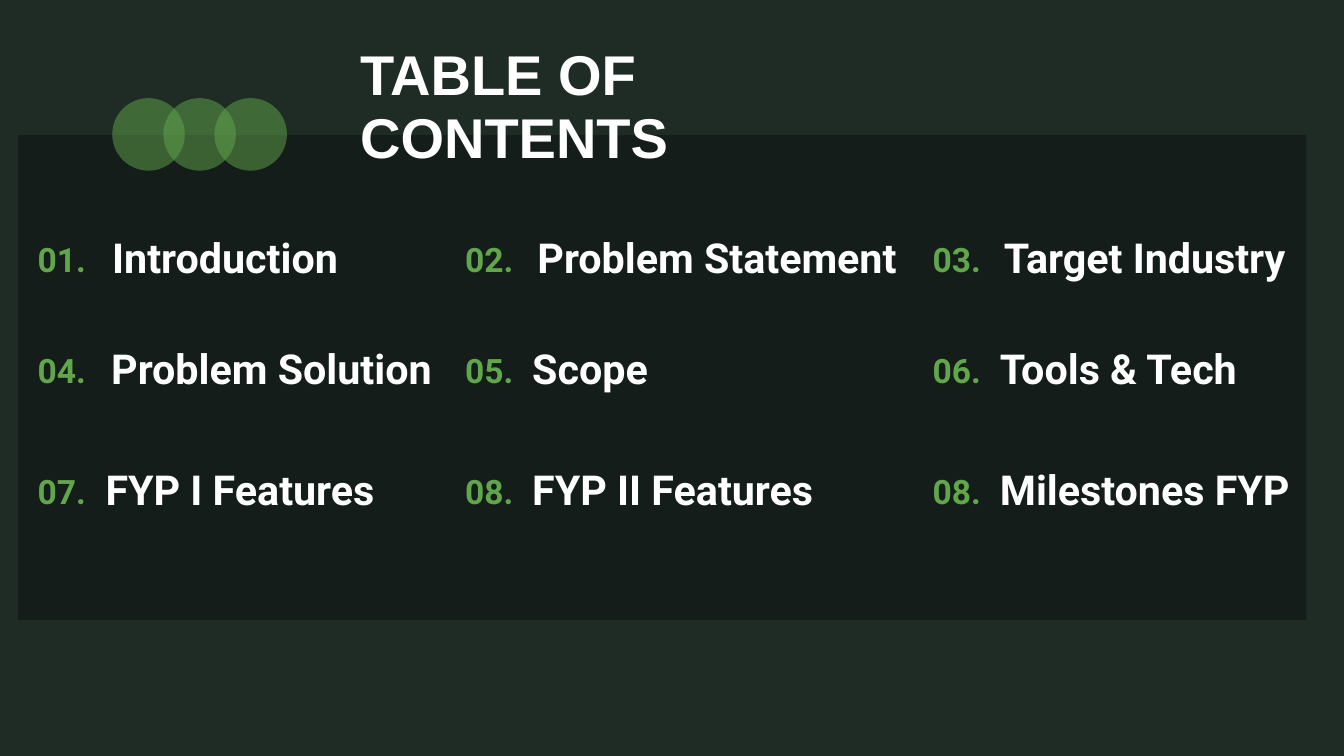
from dataclasses import dataclass

from lxml.etree import SubElement
from pptx import Presentation
from pptx.dml.color import RGBColor
from pptx.enum.shapes import MSO_SHAPE as SHAPE
from pptx.enum.text import MSO_ANCHOR as ANCHOR, MSO_AUTO_SIZE as AUTO, PP_ALIGN as ALIGN
from pptx.oxml.ns import qn
from pptx.util import Inches, Pt

BACKGROUND = RGBColor(0x1E, 0x2C, 0x25)
BLACK = RGBColor(0x00, 0x00, 0x00)
WHITE = RGBColor(0xFF, 0xFF, 0xFF)
GREEN = RGBColor(0x62, 0xA6, 0x4C)

COLUMNS = (0.56, 6.92, 13.88)
ROWS = (3.45, 5.11, 6.91)


@dataclass
class Entry:
    number: str
    label: str
    left: float
    width: float
    align: ALIGN = ALIGN.LEFT


ENTRIES = (
    Entry("01.", "Introduction", 1.57, 3.56, ALIGN.CENTER),
    Entry("02.", "Problem Statement", 7.92, 5.5, ALIGN.CENTER),
    Entry("03.", "Target Industry", 14.78, 4.51, ALIGN.CENTER),
    Entry("04.", "Problem Solution", 1.29, 5.5, ALIGN.CENTER),
    Entry("05.", "Scope", 7.92, 3.56),
    Entry("06.", "Tools & Tech", 14.88, 4.55),
    Entry("07.", "FYP I Features", 1.57, 4.55),
    Entry("08.", "FYP II Features", 7.92, 4.55),
    Entry("08.", "Milestones FYP", 14.88, 4.55),
)


def place(sp, left: float, top: float, width: float, height: float) -> None:
    sp.left, sp.top = Inches(left), Inches(top)
    sp.width, sp.height = Inches(width), Inches(height)


def write(sp, text: str, *, size: float, spacing: float, font: str = "Roboto",
          color: RGBColor = WHITE, align: ALIGN = ALIGN.LEFT) -> None:
    """Fill a shape with one bold paragraph, without insets."""
    tf = sp.text_frame
    tf.margin_left = tf.margin_top = tf.margin_right = tf.margin_bottom = 0
    tf.word_wrap = True
    tf.auto_size = AUTO.NONE
    tf.vertical_anchor = ANCHOR.TOP
    p = tf.paragraphs[0]
    p.alignment = align
    p.line_spacing = Pt(spacing)
    r = p.add_run()
    r.text = text
    r.font.name, r.font.size, r.font.bold = font, Pt(size), True
    r.font.color.rgb = color


def add_glass(slide, kind: SHAPE, left: float, top: float, width: float,
              height: float, color: RGBColor, opacity: int):
    """Add a translucent shape without outline; opacity is in percent."""
    sp = slide.shapes.add_shape(kind, Inches(left), Inches(top), Inches(width), Inches(height))
    sp.shadow.inherit = False
    sp.line.fill.background()
    sp.fill.solid()
    sp.fill.fore_color.rgb = color
    clr = sp.fill._xPr.find(f".//{qn('a:srgbClr')}")
    SubElement(clr, qn("a:alpha"), val=str(opacity * 1000))
    return sp


def add_entry(slide, entry: Entry, column: float, row: float) -> None:
    number = slide.shapes.add_textbox(0, 0, 0, 0)
    place(number, column, row, 1, 0.68)
    write(number, entry.number, size=36, spacing=50.4, color=GREEN)
    label = slide.shapes.add_textbox(0, 0, 0, 0)
    place(label, entry.left, row + 0.03, entry.width, 0.72)
    write(label, entry.label, size=44.2, spacing=50.8, align=entry.align)


def main() -> None:
    prs = Presentation()
    prs.slide_width, prs.slide_height = Inches(20), Inches(11.25)
    slide = prs.slides.add_slide(prs.slide_layouts[5])
    slide.background.fill.solid()
    slide.background.fill.fore_color.rgb = BACKGROUND

    # Title
    title = slide.shapes.title
    place(title, 5.36, 0.66, 8.86, 0.96)
    write(title, "TABLE OF CONTENTS", size=60, spacing=67.2, font="Arial")

    # Dark panel, kept behind the title
    panel = add_glass(slide, SHAPE.RECTANGLE, 0.27, 2.01, 19.17, 7.22, BLACK, 32)
    title._element.addprevious(panel._element)

    # Contents, three to a row
    for i, entry in enumerate(ENTRIES):
        row, column = divmod(i, len(COLUMNS))
        add_entry(slide, entry, COLUMNS[column], ROWS[row])

    # Overlapping circles
    for i in range(3):
        add_glass(slide, SHAPE.OVAL, 1.67 + 0.76 * i, 1.46, 1.08, 1.08, GREEN, 50)

    prs.save("out.pptx")


if __name__ == "__main__":
    main()
